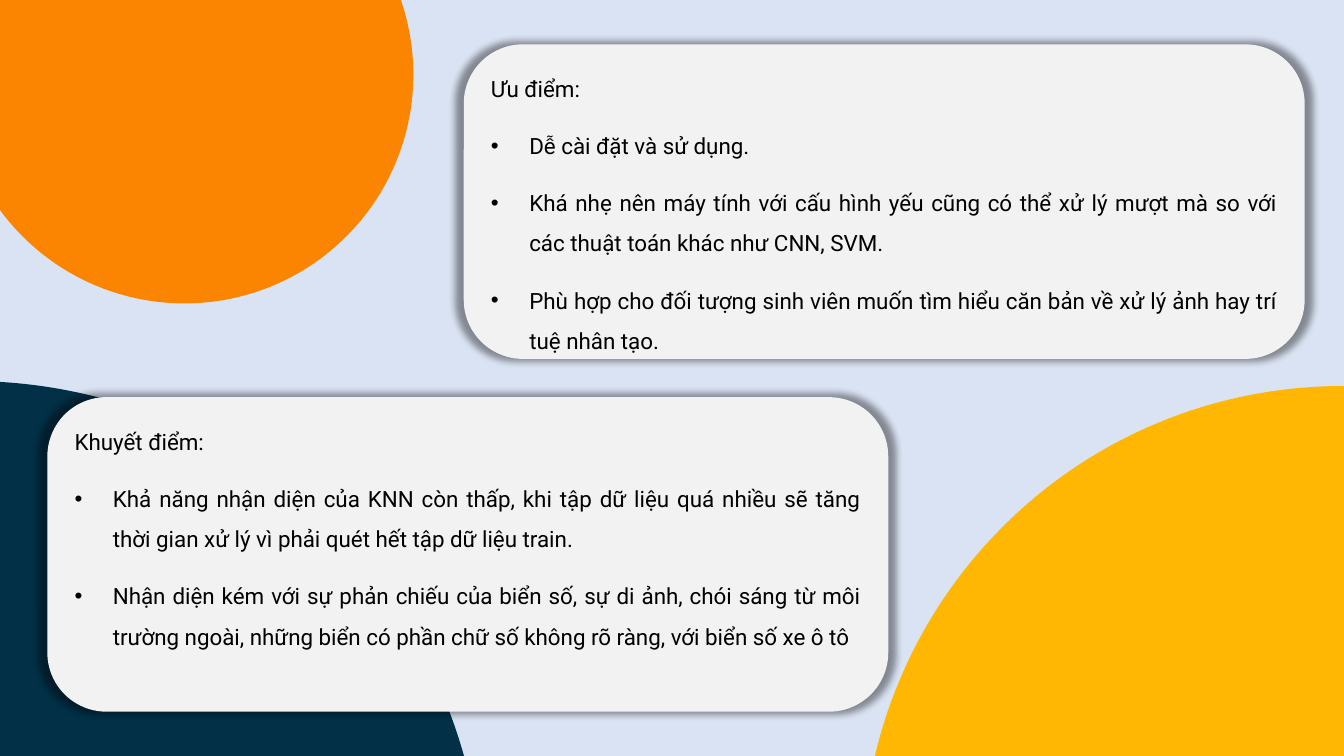
import pptx
import pptx.dml.color
import pptx.enum.shapes
import pptx.enum.text
import pptx.oxml
import pptx.oxml.ns
import pptx.util

Inches = pptx.util.Inches
Pt = pptx.util.Pt
SHAPE = pptx.enum.shapes.MSO_SHAPE

COLORS = {
    "background": "DAE3F3",
    "navy": "023047",
    "orange": "FB8500",
    "yellow": "FFB703",
    "card": "F2F2F2",
    "text": "000000",
}
FONT = "Roboto"
INDENT = Inches(0.38)
CARD_SIZE = (8.34, 3.12)

CIRCLES = [
    (-5.39, 3.78, 10.18, "navy"),
    (-0.44, -1.53, 4.54, "orange"),
    (8.55, 3.83, 9.53, "yellow"),
]
CARDS = [
    (4.6, 0.44, "Ưu điểm:", [
        "Dễ cài đặt và sử dụng.",
        "Khá nhẹ nên máy tính với cấu hình yếu cũng có thể xử lý mượt mà so với "
        "các thuật toán khác như CNN, SVM.",
        "Phù hợp cho đối tượng sinh viên muốn tìm hiểu căn bản về xử lý ảnh hay "
        "trí tuệ nhân tạo.",
    ]),
    (0.47, 3.94, "Khuyết điểm:", [
        "Khả năng nhận diện của KNN còn thấp, khi tập dữ liệu quá nhiều sẽ tăng "
        "thời gian xử lý vì phải quét hết tập dữ liệu train.",
        "Nhận diện kém với sự phản chiếu của biển số, sự di ảnh, chói sáng từ môi "
        "trường ngoài, những biển có phần chữ số không rõ ràng, với biển số xe ô tô",
    ]),
]


def rgb(name):
    """Return the named colour."""
    return pptx.dml.color.RGBColor.from_string(COLORS[name])


def add_filled_shape(s, kind, left, top, width, height, color):
    """Add a plain shape without line or shadow."""
    sp = s.shapes.add_shape(kind, Inches(left), Inches(top), Inches(width), Inches(height))
    sp.fill.solid()
    sp.fill.fore_color.rgb = rgb(color)
    sp.line.fill.background()
    sp.shadow.inherit = False
    return sp


def add_glow_shadow(sp):
    """Put a soft, centred shadow around a shape."""
    effects = sp._element.spPr.find(pptx.oxml.ns.qn("a:effectLst"))
    effects.append(pptx.oxml.parse_xml(
        f'<a:outerShdw {pptx.oxml.ns.nsdecls("a")} blurRad="{Pt(5)}" dist="0" dir="0" '
        'sx="102000" sy="102000" algn="ctr" rotWithShape="0">'
        f'<a:srgbClr val="{COLORS["text"]}"><a:alpha val="40000"/></a:srgbClr></a:outerShdw>'))


def add_bullet(p):
    """Give a paragraph a round bullet with a hanging indent."""
    pPr = p._p.get_or_add_pPr()
    pPr.set("marL", str(INDENT))
    pPr.set("indent", str(-INDENT))
    for tag in ('buFont {} typeface="Arial"', 'buChar {} char="•"'):
        pPr.append(pptx.oxml.parse_xml(f'<a:{tag.format(pptx.oxml.ns.nsdecls("a"))}/>'))


def add_card(s, left, top, heading, points):
    """Add a rounded card with a heading and bullet points."""
    sp = add_filled_shape(s, SHAPE.ROUNDED_RECTANGLE, left, top, *CARD_SIZE, "card")
    sp.adjustments[0] = 0.188
    add_glow_shadow(sp)
    tf = sp.text_frame
    tf.word_wrap = True
    tf.vertical_anchor = pptx.enum.text.MSO_ANCHOR.TOP
    tf.margin_top = tf.margin_bottom = 0
    for i, text in enumerate([heading, *points]):
        p = tf.add_paragraph() if i else tf.paragraphs[0]
        p.alignment = pptx.enum.text.PP_ALIGN.JUSTIFY
        p.line_spacing = 1.5
        p.space_after = Pt(6)
        if i:
            p.space_before = Pt(6)
            add_bullet(p)
        r = p.add_run()
        r.text = text
        r.font.name = FONT
        r.font.size = Pt(16)
        r.font.color.rgb = rgb("text")


def build_slide(prs):
    """Build the slide comparing strengths and weaknesses."""
    s = prs.slides.add_slide(prs.slide_layouts[6])
    s.background.fill.solid()
    s.background.fill.fore_color.rgb = rgb("background")
    for left, top, size, color in CIRCLES:
        add_filled_shape(s, SHAPE.OVAL, left, top, size, size, color)
    for card in CARDS:
        add_card(s, *card)


def main():
    """Create the presentation and save it."""
    prs = pptx.Presentation()
    prs.slide_width = Inches(13.33)
    prs.slide_height = Inches(7.5)
    build_slide(prs)
    prs.save("out.pptx")


if __name__ == "__main__":
    main()
